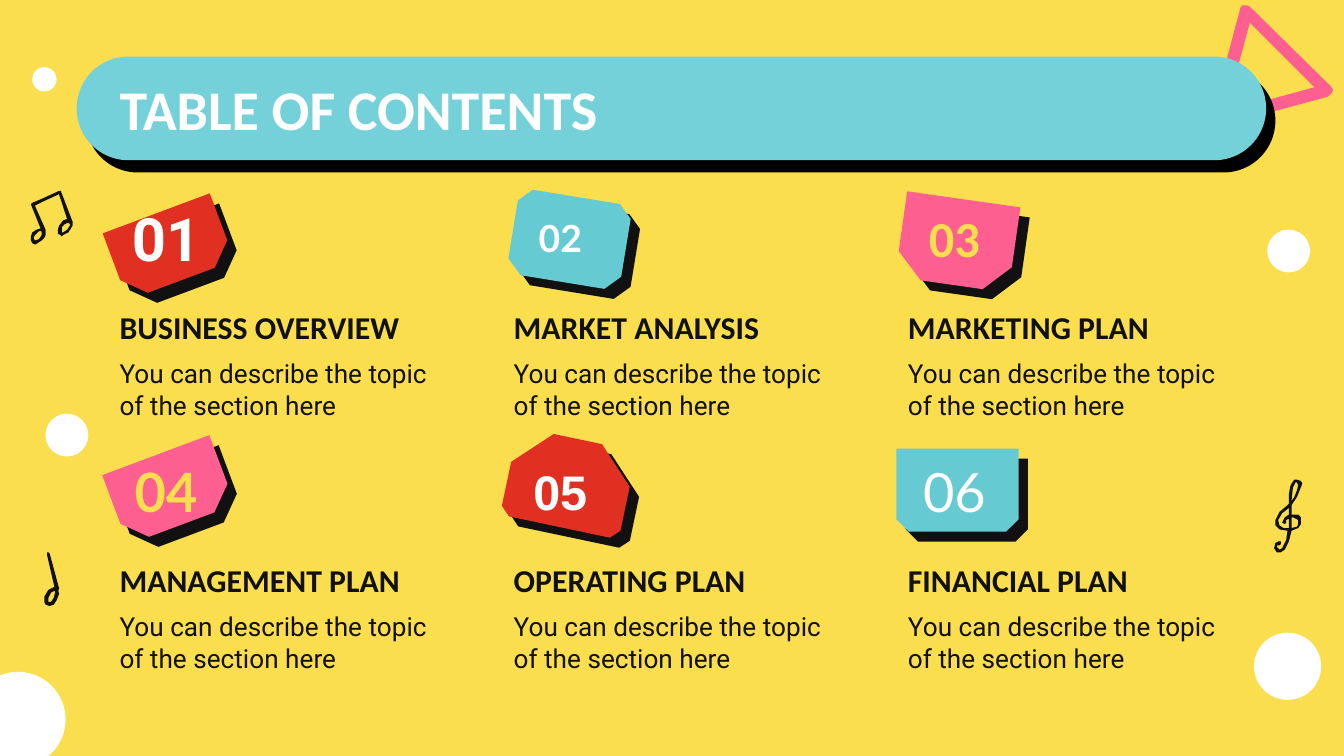
from dataclasses import dataclass

from lxml import etree
from pptx import Presentation
from pptx.dml.color import RGBColor
from pptx.enum.shapes import MSO_SHAPE
from pptx.enum.text import MSO_ANCHOR, PP_ALIGN
from pptx.oxml.ns import qn
from pptx.util import Cm, Pt

OVAL = MSO_SHAPE.OVAL
PILL = MSO_SHAPE.ROUNDED_RECTANGLE
SNIPPED = MSO_SHAPE.SNIP_2_SAME_RECTANGLE
MIDDLE = MSO_ANCHOR.MIDDLE
LEFT, CENTER = PP_ALIGN.LEFT, PP_ALIGN.CENTER


@dataclass(frozen=True)
class Theme:
    yellow: str = "FADE4E"
    pink: str = "FE5F91"
    red: str = "E12F21"
    teal: str = "66CAD3"
    banner: str = "75D1D9"
    white: str = "FFFFFF"
    ink: str = "111111"
    black: str = "000000"
    heading_font: str = "Calibri"
    body_font: str = "Roboto"
    title_size: float = 30
    heading_size: float = 17
    body_size: float = 14


THEME = Theme()

COLUMN_LEFT, COLUMN_STEP = 2.01, 7.45
ROW_STEP = 4.78
NUMBER_TOP, HEADING_TOP, BODY_TOP = 3.91, 5.69, 6.68
BODY = "You can describe the topic of the section here"

# heading, number, (font, size, colour, bold), badge colour,
# badge box in cm, rotation, snip sizes, mirrored
SECTIONS = [
    ("BUSINESS OVERVIEW", "01", ("Roboto", 32, THEME.white, True), THEME.red,
     (2.11, 3.99, 2.16, 1.35), 159.5, (0.3, 0), True),
    ("MARKET ANALYSIS", "02", ("Lato", 20, THEME.white, True), THEME.teal,
     (9.68, 3.71, 2.16, 1.63), 189.3, (0.17, 0.15), True),
    ("MARKETING PLAN", "03", ("Calibri", 27, THEME.yellow, True), THEME.pink,
     (17.02, 3.76, 2.16, 1.63), 188.1, (0.3, 0), False),
    ("MANAGEMENT PLAN", "04", ("Lato", 29, THEME.yellow, True), THEME.pink,
     (2.11, 8.56, 2.16, 1.4), 159.5, (0.3, 0), True),
    ("OPERATING PLAN", "05", ("Arial", 26, THEME.white, True), THEME.red,
     (9.6, 8.28, 2.29, 1.7), 191.9, (0.1, 0.4), True),
    ("FINANCIAL PLAN", "06", ("Lato", 29, THEME.white, False), THEME.teal,
     (16.94, 8.48, 2.31, 1.57), 180, (0.15, 0), True),
]

# left, top, diameter in cm
CIRCLES = [(23.7, 11.96, 1.27), (0.61, 1.27, 0.46), (0.86, 7.82, 0.81),
           (-0.56, 12.7, 1.8), (23.95, 4.34, 0.81)]

# Outlines: contours of points in hundredths of an inch; inner contours are holes.
OUTLINE_UNIT = Cm(2.54) / 100
TRIANGLE = [
    [(923, 6), (901, 88), (901, 91), (903, 93), (907, 94), (988, 72), (991, 69),
     (992, 67), (990, 64), (930, 5), (928, 4), (926, 4), (924, 4)],
    [(930, 17), (978, 65), (912, 83)],
]
EIGHTH_NOTES = [
    [[(31, 170), (30, 170), (27, 171), (24, 173), (23, 176), (23, 179), (24, 181),
      (26, 182), (28, 181), (31, 179), (33, 177), (34, 175), (34, 172), (33, 170)],
     [(31, 172), (31, 175), (29, 178), (26, 179), (25, 177), (26, 175), (29, 172)]],
    [[(50, 163), (47, 164), (44, 168), (43, 171), (43, 174), (45, 175), (46, 176),
      (47, 175), (51, 173), (54, 168), (54, 165), (51, 163)],
     [(50, 166), (52, 166), (52, 168), (50, 171), (47, 173), (46, 173), (46, 169),
      (48, 167)]],
    [[(44, 142), (42, 143), (31, 148), (24, 151), (23, 152), (31, 172), (32, 173),
      (33, 173), (34, 171), (26, 153), (32, 150), (43, 145), (46, 143), (45, 142)]],
    [[(45, 143), (44, 143), (44, 145), (51, 166), (53, 167), (54, 165), (46, 144)]],
]
QUARTER_NOTE = [
    [[(41, 437), (40, 437), (36, 439), (33, 444), (33, 448), (34, 450), (37, 451),
      (40, 450), (42, 447), (44, 442), (43, 438)],
     [(41, 440), (41, 441), (40, 445), (38, 448), (36, 448), (36, 445), (38, 441),
      (40, 440)]],
    [[(36, 411), (35, 411), (35, 413), (41, 439), (42, 440), (43, 440), (44, 438),
      (37, 412)]],
]
TREBLE_CLEF = [
    [[(965, 357), (963, 357), (961, 360), (960, 362), (959, 368), (959, 375),
      (958, 376), (952, 381), (949, 387), (949, 391), (952, 394), (958, 395),
      (957, 402), (954, 408), (952, 409), (950, 407), (951, 405), (953, 404),
      (952, 403), (949, 404), (948, 408), (950, 411), (953, 411), (956, 409),
      (959, 403), (961, 395), (966, 393), (968, 390), (968, 385), (966, 383),
      (961, 383), (961, 376), (965, 370), (967, 365), (969, 360), (968, 358)],
     [(965, 359), (966, 361), (965, 365), (963, 370), (961, 373), (962, 363),
      (964, 359)],
     [(962, 385), (966, 387), (966, 390), (965, 392), (961, 393), (961, 385)],
     [(959, 378), (959, 383), (956, 385), (954, 389), (956, 390), (957, 389),
      (957, 387), (959, 386), (959, 393), (955, 393), (952, 391), (951, 387),
      (954, 382)]],
    [[(952, 403), (951, 403), (950, 404), (951, 406), (952, 406), (953, 405),
      (953, 403)]],
]


def paint(shape, color):
    shape.shadow.inherit = False
    shape.fill.solid()
    shape.fill.fore_color.rgb = RGBColor.from_string(color)
    shape.line.fill.background()


def add_solid(page, kind, box, color):
    shape = page.shapes.add_shape(kind, *map(Cm, box))
    paint(shape, color)
    return shape


def cast_shadow(shape, color, distance, degrees):
    """Add a hard-edged shadow that keeps its direction when the shape turns."""
    effects = shape._element.spPr.find(qn("a:effectLst"))
    shadow = etree.SubElement(
        effects, qn("a:outerShdw"), dist=str(Cm(distance)),
        dir=str(degrees * 60000), algn="bl", rotWithShape="0")
    etree.SubElement(shadow, qn("a:srgbClr"), val=color)


def add_outline(shapes, contours, color):
    first, *holes = contours
    builder = shapes.build_freeform(*first[0], scale=OUTLINE_UNIT)
    builder.add_line_segments(first[1:], close=True)
    for hole in holes:
        builder.move_to(*hole[0])
        builder.add_line_segments(hole[1:], close=True)
    paint(builder.convert_to_shape(), color)


def add_text(page, box, text, font, size, color, bold=False, align=LEFT):
    frame = page.shapes.add_textbox(*map(Cm, box)).text_frame
    frame.word_wrap = True
    frame.vertical_anchor = MIDDLE
    frame.margin_left = frame.margin_right = Cm(0.25)
    frame.margin_top = frame.margin_bottom = Cm(0.25)
    para = frame.paragraphs[0]
    para.text = text
    para.alignment = align
    para.font.name = font
    para.font.size = Pt(size)
    para.font.bold = bold
    para.font.color.rgb = RGBColor.from_string(color)


def add_decorations(page):
    add_outline(page.shapes, TRIANGLE, THEME.pink)
    for left, top, diameter in CIRCLES:
        add_solid(page, OVAL, (left, top, diameter, diameter), THEME.white)
    for symbol in (EIGHTH_NOTES, TREBLE_CLEF, QUARTER_NOTE):
        group = page.shapes.add_group_shape()
        for contours in symbol:
            add_outline(group.shapes, contours, THEME.ink)


def add_banner(page):
    banner = add_solid(page, PILL, (1.45, 1.07, 22.48, 1.96), THEME.banner)
    banner.adjustments[0] = 0.5
    cast_shadow(banner, THEME.black, 0.29, 53)
    add_text(page, (COLUMN_LEFT, 1.24, 21.41, 1.6), "TABLE OF CONTENTS",
             THEME.heading_font, THEME.title_size, THEME.white, bold=True)


def add_badge(page, box, color, rotation, snips, mirrored):
    badge = add_solid(page, SNIPPED, box, color)
    badge.rotation = rotation
    for index, snip in enumerate(snips):
        badge.adjustments[index] = snip
    if mirrored:
        badge._element.spPr.xfrm.set("flipH", "1")
    cast_shadow(badge, THEME.ink, 0.26, 47)


def add_section(page, index, section):
    heading, number, number_style, color, box, rotation, snips, mirrored = section
    row, column = divmod(index, 3)
    left = COLUMN_LEFT + column * COLUMN_STEP
    drop = row * ROW_STEP
    add_badge(page, box, color, rotation, snips, mirrored)
    add_text(page, (left, NUMBER_TOP + drop, 2.26, 1.17), number, *number_style,
             align=CENTER)
    add_text(page, (left, HEADING_TOP + drop, 6.5, 0.97), heading,
             THEME.heading_font, THEME.heading_size, THEME.ink, bold=True)
    add_text(page, (left, BODY_TOP + drop, 6.5, 1.35), BODY,
             THEME.body_font, THEME.body_size, THEME.ink)


def main():
    deck = Presentation()
    deck.slide_width, deck.slide_height = Cm(25.4), Cm(14.29)
    page = deck.slides.add_slide(deck.slide_layouts[6])
    page.background.fill.solid()
    page.background.fill.fore_color.rgb = RGBColor.from_string(THEME.yellow)
    add_decorations(page)
    add_banner(page)
    for index, section in enumerate(SECTIONS):
        add_section(page, index, section)
    deck.save("out.pptx")


if __name__ == "__main__":
    main()
